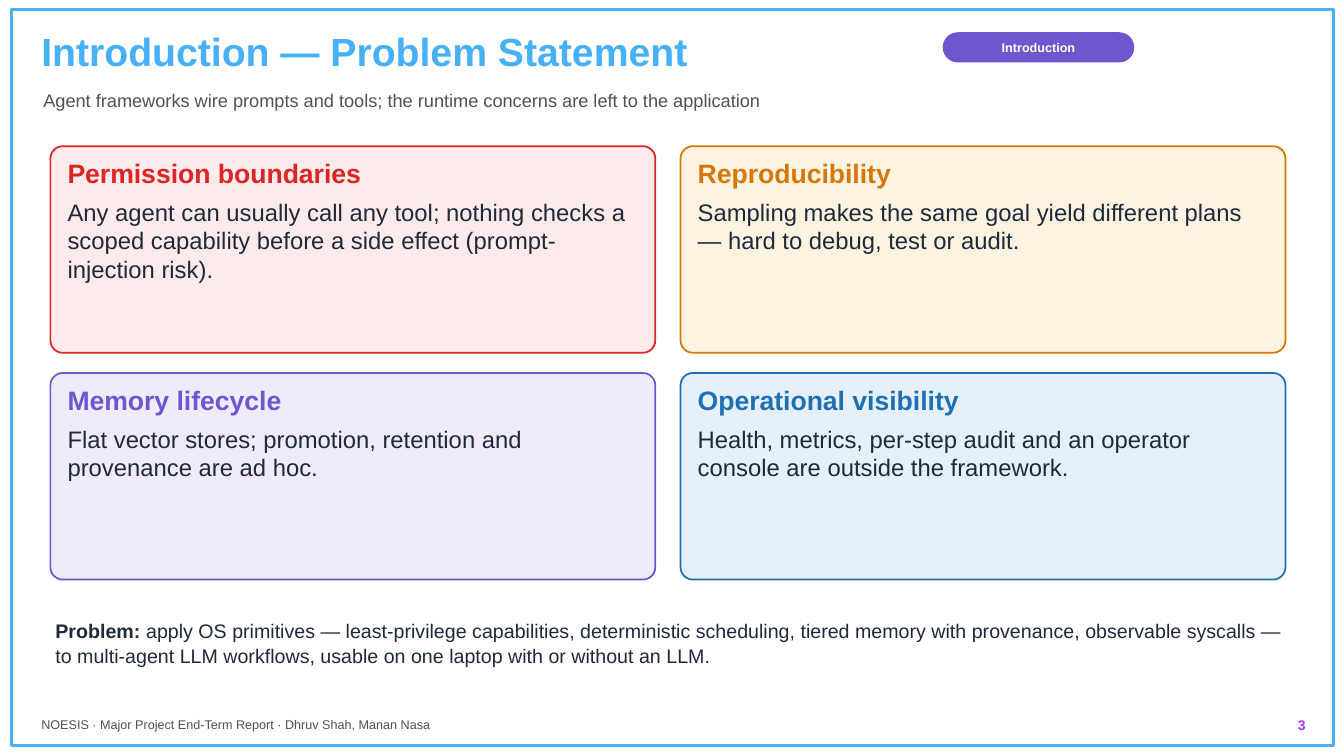
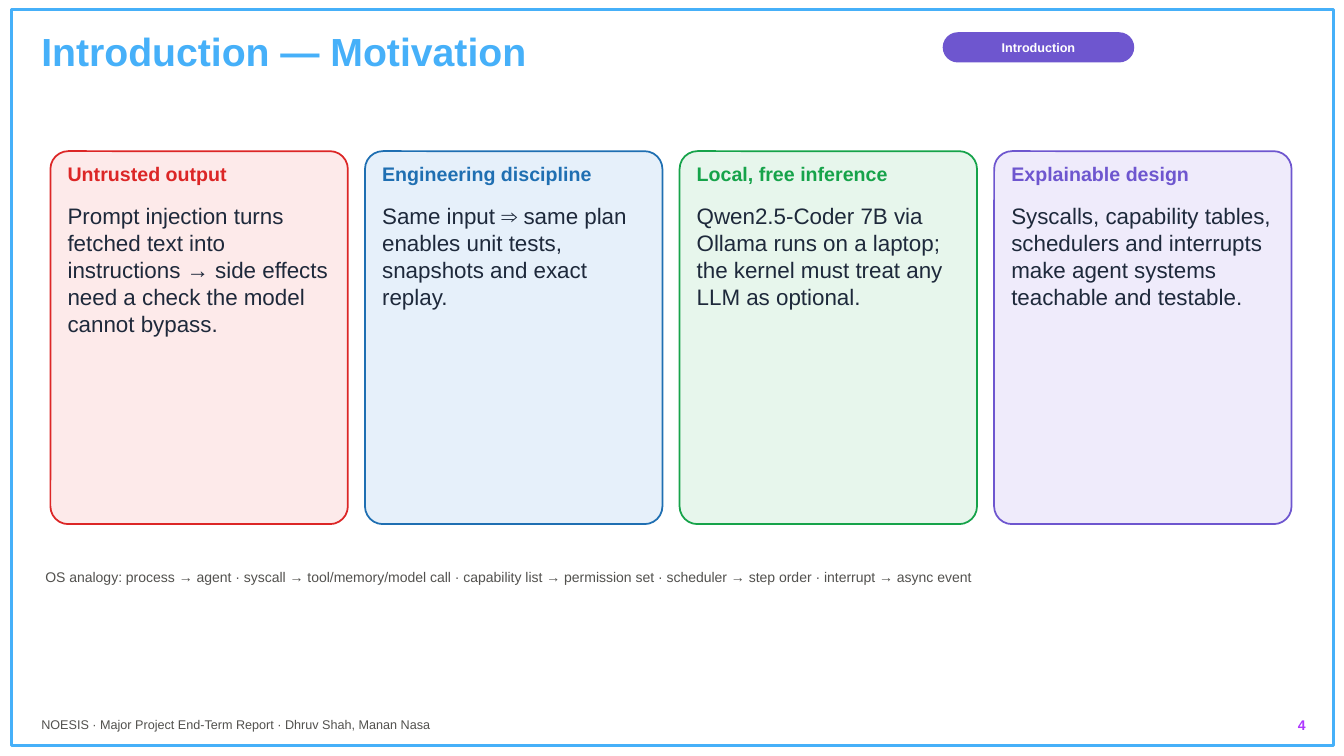
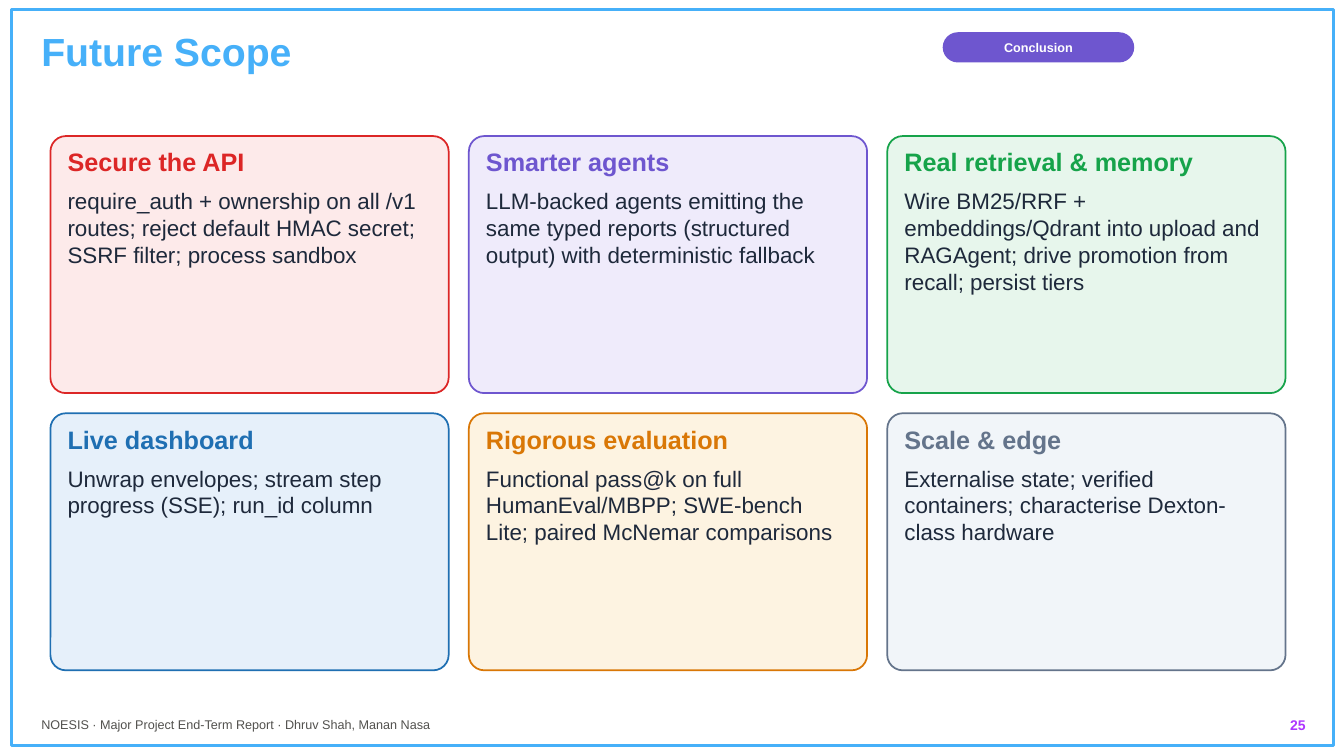
"""Builds three card-grid slides of the project report."""
from pptx import Presentation
from pptx import util as u
from pptx.dml.color import RGBColor
from pptx.enum import shapes, text

THEME = {
    "font": "Arial",
    "sky": "46B0F9", "violet": "6E56CF", "magenta": "AE36FF",
    "ink": "1E293B", "muted": "52514E", "white": "FFFFFF",
    "title": 28, "subtitle": 13, "note": 14, "small": 10, "footer": 9, "tag": 9,
    "tones": {
        "red": ("DC2626", "FDEAEA"), "amber": ("D97706", "FDF3E1"),
        "violet": ("6E56CF", "EFEBFB"), "blue": ("1F6FB2", "E6F0FA"),
        "green": ("16A34A", "E7F6EC"), "slate": ("64748B", "F1F5F9"),
    },
}
SIZE = (13.33, 7.5)
FOOTER = "NOESIS · Major Project End-Term Report · Dhruv Shah, Manan Nasa"
AREAS = {
    "frame": (0.11, 0.09, 13.12, 7.31), "title": (0.36, 0.22, 10.9, 0.65),
    "subtitle": (0.38, 0.85, 10.9, 0.4), "tag": (9.35, 0.32, 1.9, 0.3),
    "footer": (0.36, 7.07, 7.5, 0.3), "number": (11.6, 7.07, 1.4, 0.3),
}

SLIDES = [
    {
        "title": "Introduction — Problem Statement", "tag": "Introduction", "number": 3,
        "subtitle": "Agent frameworks wire prompts and tools; the runtime concerns are left to the application",
        "grid": {"area": (0.5, 1.45, 12.25, 4.3), "columns": 2, "rows": 2, "gaps": (0.25, 0.2)},
        "sizes": (19, 17),
        "cards": [
            ("red", "Permission boundaries",
             "Any agent can usually call any tool; nothing checks a scoped capability before a side effect "
             "(prompt-injection risk)."),
            ("amber", "Reproducibility",
             "Sampling makes the same goal yield different plans — hard to debug, test or audit."),
            ("violet", "Memory lifecycle",
             "Flat vector stores; promotion, retention and provenance are ad hoc."),
            ("blue", "Operational visibility",
             "Health, metrics, per-step audit and an operator console are outside the framework."),
        ],
        "note": {
            "area": (0.5, 6.1, 12.3, 0.8), "size": "note", "color": "ink",
            "spans": [
                ("Problem:", True),
                (" apply OS primitives — least-privilege capabilities, deterministic scheduling, tiered memory "
                 "with provenance, observable syscalls — to multi-agent LLM workflows, usable on one laptop "
                 "with or without an LLM.", False),
            ],
        },
    },
    {
        "title": "Introduction — Motivation", "tag": "Introduction", "number": 4,
        "grid": {"area": (0.5, 1.5, 12.31, 3.7), "columns": 4, "rows": 1, "gaps": (0.17, 0)},
        "sizes": (14, 16),
        "cards": [
            ("red", "Untrusted output",
             "Prompt injection turns fetched text into instructions → side effects need a check the model "
             "cannot bypass."),
            ("blue", "Engineering discipline",
             "Same input ⇒ same plan enables unit tests, snapshots and exact replay."),
            ("green", "Local, free inference",
             "Qwen2.5-Coder 7B via Ollama runs on a laptop; the kernel must treat any LLM as optional."),
            ("violet", "Explainable design",
             "Syscalls, capability tables, schedulers and interrupts make agent systems teachable and testable."),
        ],
        "note": {
            "area": (0.4, 5.6, 12.5, 0.4), "size": "small", "color": "muted",
            "spans": [
                ("OS analogy: process → agent · syscall → tool/memory/model call · capability list → "
                 "permission set · scheduler → step order · interrupt → async event", False),
            ],
        },
    },
    {
        "title": "Future Scope", "tag": "Conclusion", "number": 25,
        "grid": {"area": (0.5, 1.35, 12.25, 5.3), "columns": 3, "rows": 2, "gaps": (0.2, 0.2)},
        "sizes": (18, 16),
        "cards": [
            ("red", "Secure the API",
             "require_auth + ownership on all /v1 routes; reject default HMAC secret; SSRF filter; process sandbox"),
            ("violet", "Smarter agents",
             "LLM-backed agents emitting the same typed reports (structured output) with deterministic fallback"),
            ("green", "Real retrieval & memory",
             "Wire BM25/RRF + embeddings/Qdrant into upload and RAGAgent; drive promotion from recall; persist tiers"),
            ("blue", "Live dashboard",
             "Unwrap envelopes; stream step progress (SSE); run_id column"),
            ("amber", "Rigorous evaluation",
             "Functional pass@k on full HumanEval/MBPP; SWE-bench Lite; paired McNemar comparisons"),
            ("slate", "Scale & edge",
             "Externalise state; verified containers; characterise Dexton-class hardware"),
        ],
    },
]


def inches(area):
    return [u.Inches(value) for value in area]


def assign(target, values):
    for name, value in values.items():
        setattr(target, name, value)


def write(box, spans, size, color, align=text.PP_ALIGN.LEFT, spacing=1.05, after=4,
          anchor=text.MSO_ANCHOR.TOP, insets=(0.05, 0.03), fit=text.MSO_AUTO_SIZE.SHAPE_TO_FIT_TEXT):
    side, edge = inches(insets)
    assign(box.text_frame, {
        "word_wrap": True, "auto_size": fit, "vertical_anchor": anchor,
        "margin_left": side, "margin_right": side, "margin_top": edge, "margin_bottom": edge,
    })
    para = box.text_frame.paragraphs[0]
    assign(para, {"alignment": align, "line_spacing": spacing, "space_after": u.Pt(after)})
    for words, bold in spans:
        span = para.add_run()
        span.text = words
        assign(span.font, {"name": THEME["font"], "size": u.Pt(size), "bold": bold})
        span.font.color.rgb = RGBColor.from_string(color)


def add_text(page, area, spans, size, color, **layout):
    write(page.shapes.add_textbox(*inches(area)), spans, size, color, **layout)


def add_panel(page, kind, area, fill=None, line=None, weight=1.25, corner=None):
    panel = page.shapes.add_shape(kind, *inches(area))
    panel.shadow.inherit = False
    if corner is not None:
        panel.adjustments[0] = corner
    if fill:
        panel.fill.solid()
        panel.fill.fore_color.rgb = RGBColor.from_string(fill)
    else:
        panel.fill.background()
    if line:
        panel.line.color.rgb = RGBColor.from_string(line)
        panel.line.width = u.Pt(weight)
    else:
        panel.line.fill.background()
    return panel


def add_master_frame(deck, page):
    frame = add_panel(page, shapes.MSO_SHAPE.RECTANGLE, AREAS["frame"], line=THEME["sky"], weight=2.25)
    frame.element.nvSpPr.cNvPr.set("id", "99")
    deck.slide_master.shapes.element.insert(2, frame.element)


def grid_cells(area, columns, rows, gaps):
    left, top, width, height = area
    across, down = gaps
    cell_width = (width - across * (columns - 1)) / columns
    cell_height = (height - down * (rows - 1)) / rows
    return [(left + column * (cell_width + across), top + row * (cell_height + down), cell_width, cell_height)
            for row in range(rows) for column in range(columns)]


def add_card(page, cell, card, sizes):
    left, top, width, height = cell
    tone, heading, body = card
    accent, tint = THEME["tones"][tone]
    heading_size, body_size = sizes
    inner_left, inner_width = left + 0.12, width - 0.24
    add_panel(page, shapes.MSO_SHAPE.ROUNDED_RECTANGLE, cell, tint, accent, corner=0.06)
    add_text(page, (inner_left, top + 0.06, inner_width, 0.42), [(heading, True)], heading_size, accent)
    add_text(page, (inner_left, top + 0.48, inner_width, height - 0.55), [(body, False)],
             body_size, THEME["ink"], spacing=1.0)


def add_chrome(page, content):
    title = page.shapes.title
    assign(title, dict(zip(("left", "top", "width", "height"), inches(AREAS["title"]))))
    write(title, [(content["title"], True)], THEME["title"], THEME["sky"])
    if "subtitle" in content:
        add_text(page, AREAS["subtitle"], [(content["subtitle"], False)], THEME["subtitle"], THEME["muted"])
    add_text(page, AREAS["footer"], [(FOOTER, False)], THEME["footer"], THEME["muted"])
    add_text(page, AREAS["number"], [(str(content["number"]), True)], THEME["small"], THEME["magenta"],
             align=text.PP_ALIGN.RIGHT)
    tag = add_panel(page, shapes.MSO_SHAPE.ROUNDED_RECTANGLE, AREAS["tag"], THEME["violet"], corner=0.5)
    write(tag, [(content["tag"], True)], THEME["tag"], THEME["white"], align=text.PP_ALIGN.CENTER,
          spacing=1.0, after=0, anchor=text.MSO_ANCHOR.MIDDLE, insets=(0.03, 0), fit=text.MSO_AUTO_SIZE.NONE)


def main():
    deck = Presentation()
    deck.slide_width, deck.slide_height = inches(SIZE)
    for index, content in enumerate(SLIDES):
        page = deck.slides.add_slide(deck.slide_layouts[5])
        if index == 0:
            add_master_frame(deck, page)
        add_chrome(page, content)
        for cell, card in zip(grid_cells(**content["grid"]), content["cards"]):
            add_card(page, cell, card, content["sizes"])
        if "note" in content:
            note = content["note"]
            add_text(page, note["area"], note["spans"], THEME[note["size"]], THEME[note["color"]])
    deck.save("out.pptx")


if __name__ == "__main__":
    main()
